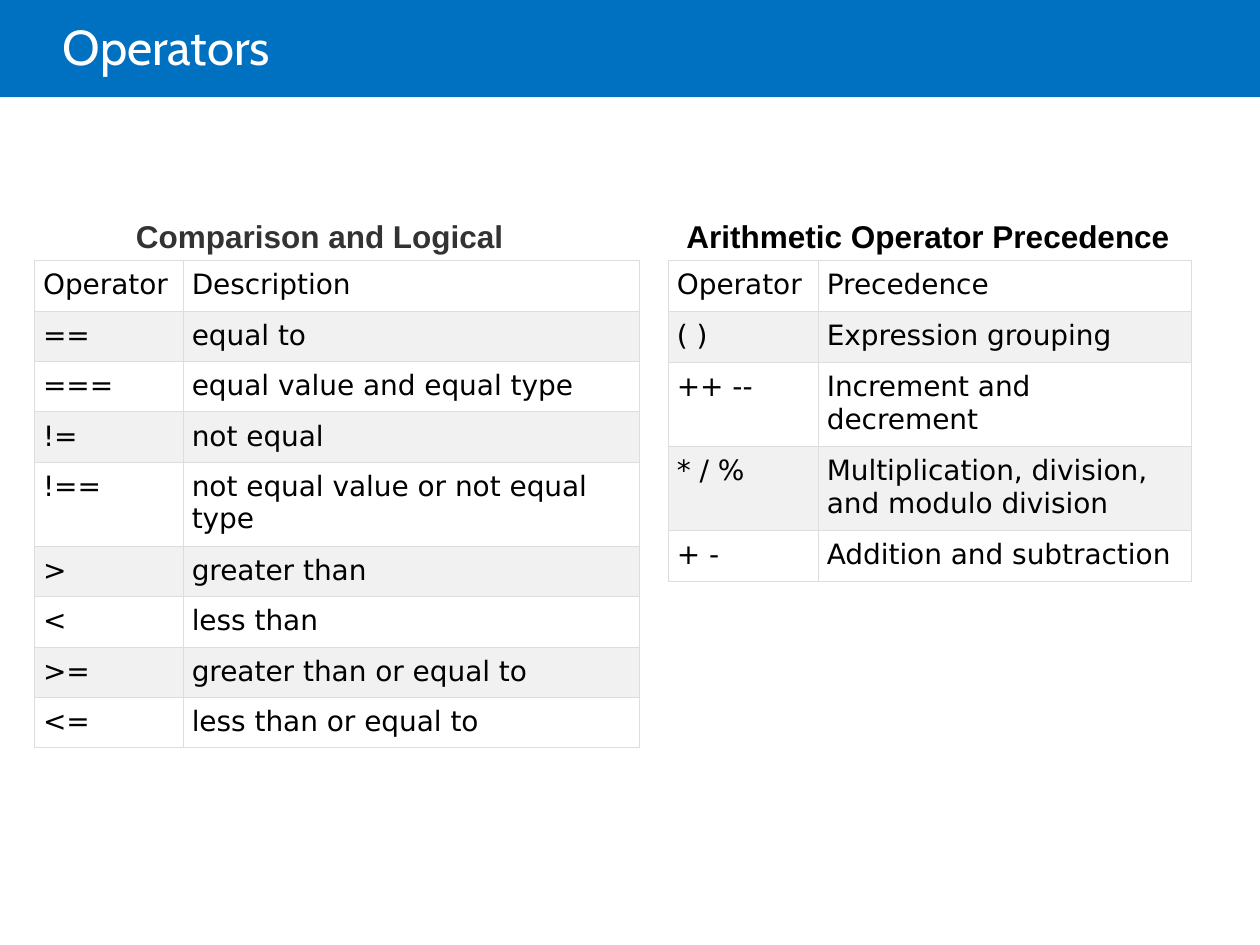
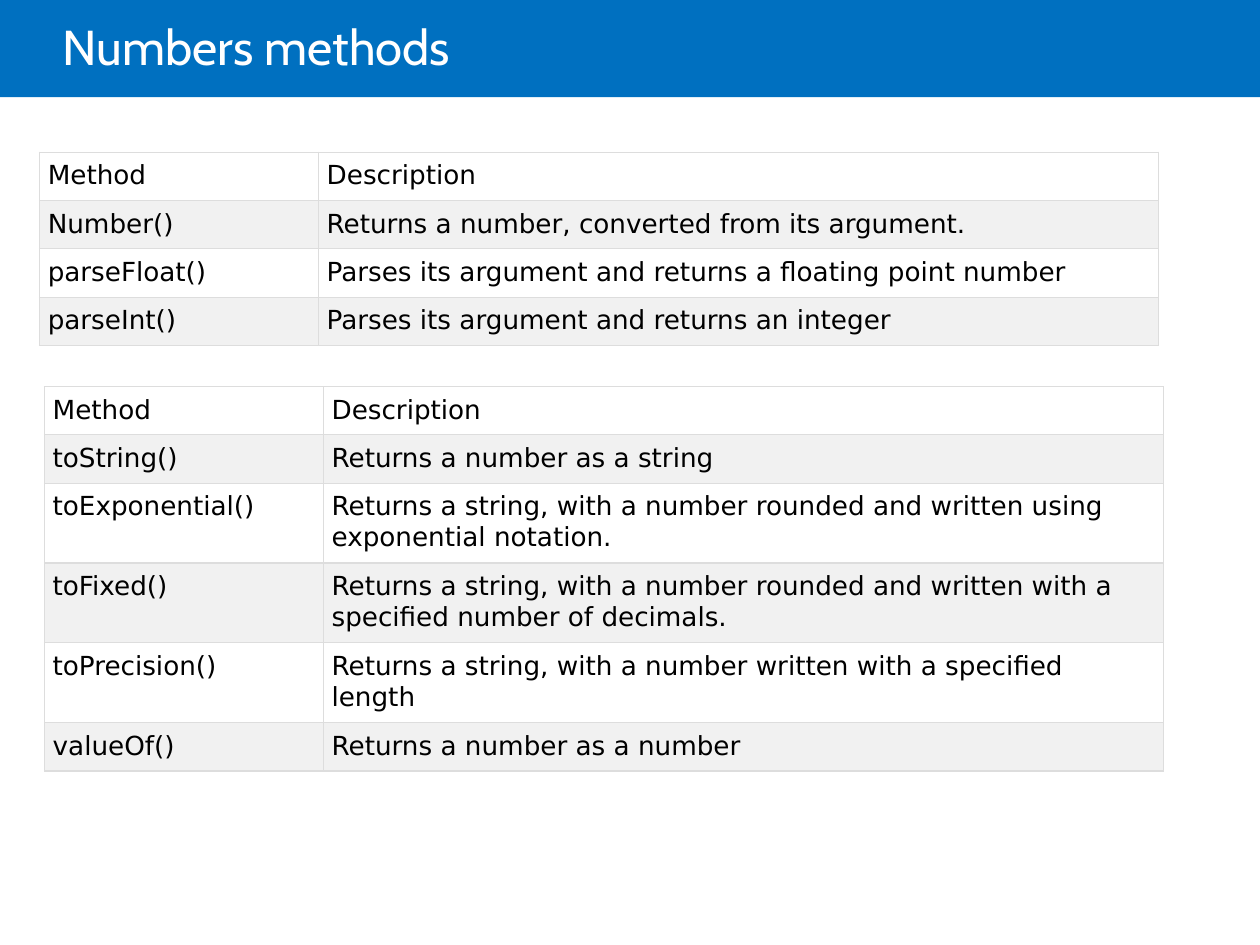
import pptx
import pptx.dml.color
import pptx.enum.shapes
import pptx.enum.text
import pptx.oxml
import pptx.oxml.ns
import pptx.util

Pt = pptx.util.Pt

COLORS = {
    "band": "0070C0",
    "white": "FFFFFF",
    "stripe": "F1F1F1",
    "border": "DDDDDD",
    "black": "000000",
    "gray": "333333",
}
FONTS = {
    "title": {"name": "Cabin", "size": Pt(28)},
    "caption": {"name": "Arial", "size": Pt(18), "bold": True},
    "cell": {"name": "DejaVu Sans"},
}
TITLE_FRAME = {
    "margin_left": 0,
    "margin_right": Pt(7.2),
    "margin_top": Pt(3.6),
    "margin_bottom": Pt(3.6),
    "word_wrap": True,
    "vertical_anchor": pptx.enum.text.MSO_ANCHOR.MIDDLE,
}
CELL_FRAME = {f"margin_{side}": Pt(4.8) for side in ("left", "right", "top", "bottom")}


def rgb(color):
    return pptx.dml.color.RGBColor.from_string(COLORS[color])


def set_attrs(obj, values):
    for name, value in values.items():
        setattr(obj, name, value)


class Deck:
    def __init__(self, width, height):
        self.prs = pptx.Presentation()
        set_attrs(self.prs, {"slide_width": Pt(width), "slide_height": Pt(height)})
        self.s = None

    def slide(self, title):
        self.s = self.prs.slides.add_slide(self.prs.slide_layouts[6])
        self.band(0, 0, 720, 55.5)
        self.title(title)

    def band(self, *box):
        rect = pptx.enum.shapes.MSO_SHAPE.RECTANGLE
        sp = self.s.shapes.add_shape(rect, *map(Pt, box))
        sp.shadow.inherit = False
        sp.fill.solid()
        sp.fill.fore_color.rgb = rgb("band")
        sp.line.fill.background()

    def add_text(self, tf, text, font, color):
        p = tf.paragraphs[0]
        r = p.add_run()
        r.text = text
        set_attrs(r.font, font)
        r.font.color.rgb = rgb(color)
        return p

    def title(self, text):
        tf = self.s.shapes.add_textbox(Pt(36), 0, Pt(612), Pt(58)).text_frame
        set_attrs(tf, TITLE_FRAME)
        self.add_text(tf, text, FONTS["title"], "white").line_spacing = 0.85

    def caption(self, text, left, top, width, color):
        tf = self.s.shapes.add_textbox(Pt(left), Pt(top), Pt(width), Pt(29)).text_frame
        tf.word_wrap = False
        self.add_text(tf, text, FONTS["caption"], color)

    def borders(self, cell):
        tc_pr = cell._tc.get_or_add_tcPr()
        ns = pptx.oxml.ns.nsdecls("a")
        for i, side in enumerate(("lnL", "lnR", "lnT", "lnB")):
            tc_pr.insert(i, pptx.oxml.parse_xml(
                f'<a:{side} {ns} w="{Pt(0.75)}"><a:solidFill>'
                f'<a:srgbClr val="{COLORS["border"]}"/></a:solidFill></a:{side}>'))

    def table(self, rows, left, top, widths, size, heights, tall=()):
        """Heights holds the one-line and two-line row heights; tall lists two-line rows."""
        row_heights = [heights[i in tall] for i in range(len(rows))]
        box = left, top, sum(widths), sum(row_heights)
        tbl = self.s.shapes.add_table(len(rows), len(widths), *map(Pt, box)).table
        set_attrs(tbl, {"first_row": False, "horz_banding": False})
        for col, width in zip(tbl.columns, widths):
            col.width = Pt(width)
        font = {**FONTS["cell"], "size": Pt(size)}
        for i, texts in enumerate(rows):
            tbl.rows[i].height = Pt(row_heights[i])
            for j, text in enumerate(texts):
                cell = tbl.cell(i, j)
                set_attrs(cell, CELL_FRAME)
                cell.fill.solid()
                cell.fill.fore_color.rgb = rgb("stripe" if i % 2 else "white")
                self.borders(cell)
                self.add_text(cell.text_frame, text, font, "black")


COMPARISON = [
    ("Operator", "Description"),
    ("==", "equal to"),
    ("===", "equal value and equal type"),
    ("!=", "not equal"),
    ("!==", "not equal value or not equal type"),
    (">", "greater than"),
    ("<", "less than"),
    (">=", "greater than or equal to"),
    ("<=", "less than or equal to"),
]
PRECEDENCE = [
    ("Operator", "Precedence"),
    ("( )", "Expression grouping"),
    ("++ --", "Increment and decrement"),
    ("* / %", "Multiplication, division, and modulo division"),
    ("+ -", "Addition and subtraction"),
]
GLOBAL_METHODS = [
    ("Method", "Description"),
    ("Number()", "Returns a number, converted from its argument."),
    ("parseFloat()", "Parses its argument and returns a floating point number"),
    ("parseInt()", "Parses its argument and returns an integer"),
]
NUMBER_METHODS = [
    ("Method", "Description"),
    ("toString()", "Returns a number as a string"),
    ("toExponential()", "Returns a string, with a number rounded and written "
                        "using exponential notation."),
    ("toFixed()", "Returns a string, with a number rounded and written "
                  "with a specified number of decimals."),
    ("toPrecision()", "Returns a string, with a number written with a specified length"),
    ("valueOf()", "Returns a number as a number"),
]


def main():
    deck = Deck(720, 540)

    # Operators: two captioned tables side by side
    deck.slide("Operators")
    deck.table(COMPARISON, 19.8, 149, (85, 260.6), 16, (28.3, 46.9), tall={4})
    deck.caption("Comparison and Logical", 70.6, 120.2, 226.8, "gray")
    deck.table(PRECEDENCE, 382, 149, (85.7, 213.1), 16, (29.1, 48), tall={2, 3})
    deck.caption("Arithmetic Operator Precedence", 385.2, 120.2, 293, "black")

    # Number methods: two stacked tables with the same columns
    deck.slide("Numbers methods")
    method_style = {"widths": (159.4, 480), "size": 15, "heights": (27.3, 44.9)}
    deck.table(GLOBAL_METHODS, 22.5, 87, **method_style)
    deck.table(NUMBER_METHODS, 25.3, 220.9, tall={2, 3, 4}, **method_style)

    deck.prs.save("out.pptx")


if __name__ == "__main__":
    main()
